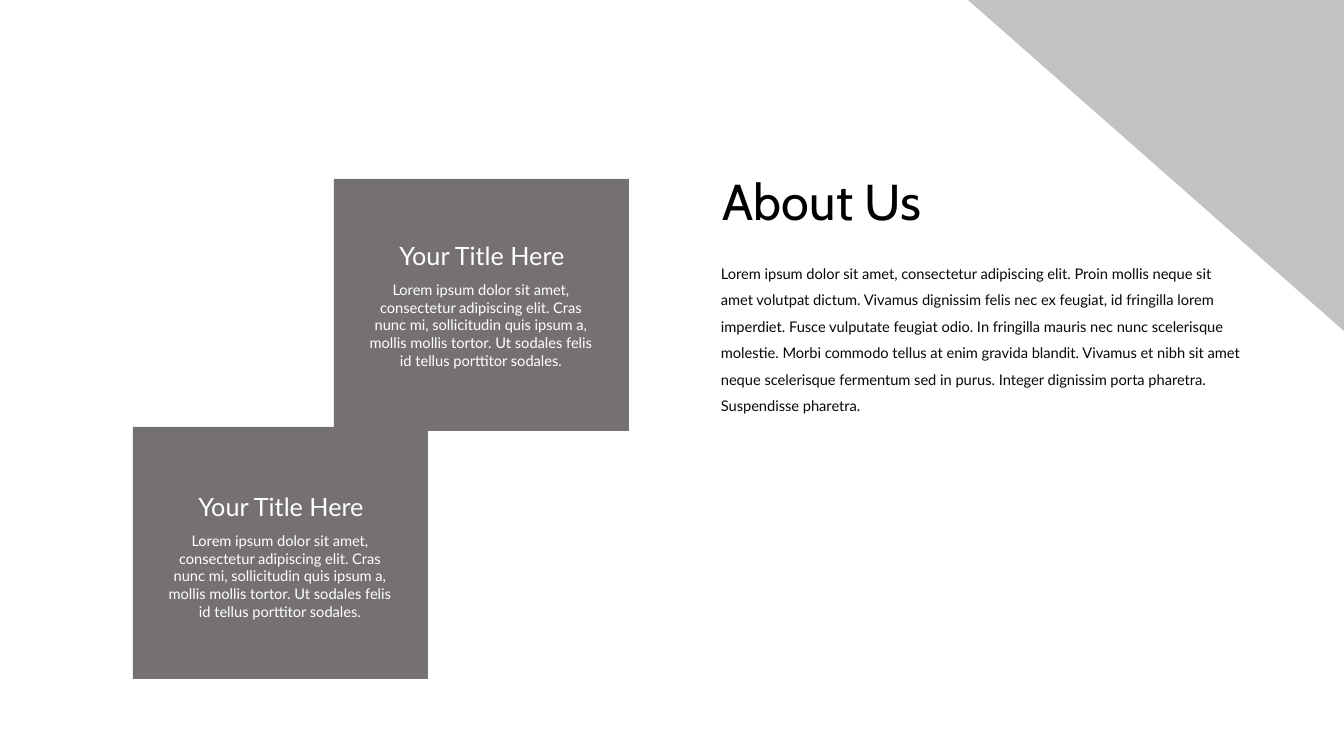
from pptx import Presentation
from pptx.dml.color import RGBColor
from pptx.enum.shapes import MSO_SHAPE
from pptx.enum.text import MSO_AUTO_SIZE, PP_ALIGN
from pptx.util import Emu, Pt

PIXELS_PER_INCH = 100.8
SLIDE_WIDTH, SLIDE_HEIGHT = 1344, 756
CARD_WIDTH, CARD_HEIGHT = 295, 252
CARD_TITLE = "Your Title Here"
CARD_BODY = (
    "Lorem ipsum dolor sit amet, consectetur adipiscing elit. Cras nunc mi, "
    "sollicitudin quis ipsum a, mollis mollis tortor. Ut sodales felis id tellus "
    "porttitor sodales."
)
ABOUT_BODY = (
    "Lorem ipsum dolor sit amet, consectetur adipiscing elit. Proin mollis neque sit "
    "amet volutpat dictum. Vivamus dignissim felis nec ex feugiat, id fringilla lorem "
    "imperdiet. Fusce vulputate feugiat odio. In fringilla mauris nec nunc scelerisque "
    "molestie. Morbi commodo tellus at enim gravida blandit. Vivamus et nibh sit amet "
    "neque scelerisque fermentum sed in purus. Integer dignissim porta pharetra. "
    "Suspendisse pharetra."
)


def px(length):
    """Turn pixels into EMU."""
    return Emu(round(length * 914400 / PIXELS_PER_INCH))


def color(value):
    """Turn a hex string into a colour."""
    return RGBColor.from_string(value)


def add_filled_shape(slide, kind, box, fill):
    """Add a preset shape with a plain fill and no outline."""
    shape = slide.shapes.add_shape(kind, *map(px, box))
    shape.shadow.inherit = False
    shape.fill.solid()
    shape.fill.fore_color.rgb = color(fill)
    shape.line.fill.background()
    return shape


def add_text(slide, box, text, size, font_color, font_name="Lato",
             alignment=PP_ALIGN.LEFT, line_spacing=1.0):
    """Add a wrapping text box holding one paragraph."""
    text_frame = slide.shapes.add_textbox(*map(px, box)).text_frame
    text_frame.word_wrap = True
    text_frame.auto_size = MSO_AUTO_SIZE.SHAPE_TO_FIT_TEXT
    paragraph = text_frame.paragraphs[0]
    paragraph.text = text
    paragraph.alignment = alignment
    paragraph.line_spacing = line_spacing
    paragraph.font.name = font_name
    paragraph.font.size = Pt(size)
    paragraph.font.color.rgb = color(font_color)


def add_about(slide, left, top, width):
    """Add the heading and its introduction."""
    add_text(slide, (left + 2, top, 500, 72), "About Us", 36, "000000", "Cabin")
    add_text(slide, (left, top + 86, width, 170), ABOUT_BODY, 10.5, "07080B",
             line_spacing=1.5)


def add_card(slide, left, top, title_offset):
    """Add a grey card with a centred title and body."""
    add_filled_shape(slide, MSO_SHAPE.RECTANGLE,
                     (left, top, CARD_WIDTH, CARD_HEIGHT), "767171")
    title_top = top + title_offset
    add_text(slide, (left + 19, title_top + 41, 256, 99), CARD_BODY, 10.5, "FFFFFF",
             alignment=PP_ALIGN.CENTER)
    add_text(slide, (left + 21, title_top, 254, 40), CARD_TITLE, 18, "FFFFFF",
             alignment=PP_ALIGN.CENTER)


def add_corner(slide, width, height):
    """Add the triangle that fills the top right corner."""
    box = (SLIDE_WIDTH - width, 0, width, height)
    triangle = add_filled_shape(slide, MSO_SHAPE.RIGHT_TRIANGLE, box, "C0C2C3")
    triangle.rotation = 180


def main():
    """Build and save the slide."""
    presentation = Presentation()
    presentation.slide_width = px(SLIDE_WIDTH)
    presentation.slide_height = px(SLIDE_HEIGHT)
    slide = presentation.slides.add_slide(presentation.slide_layouts[6])
    add_about(slide, 711, 165, 540)
    add_card(slide, 133, 427, 59)
    add_card(slide, 334, 179, 56)
    add_corner(slide, 376, 331)
    presentation.save("out.pptx")


if __name__ == "__main__":
    main()
